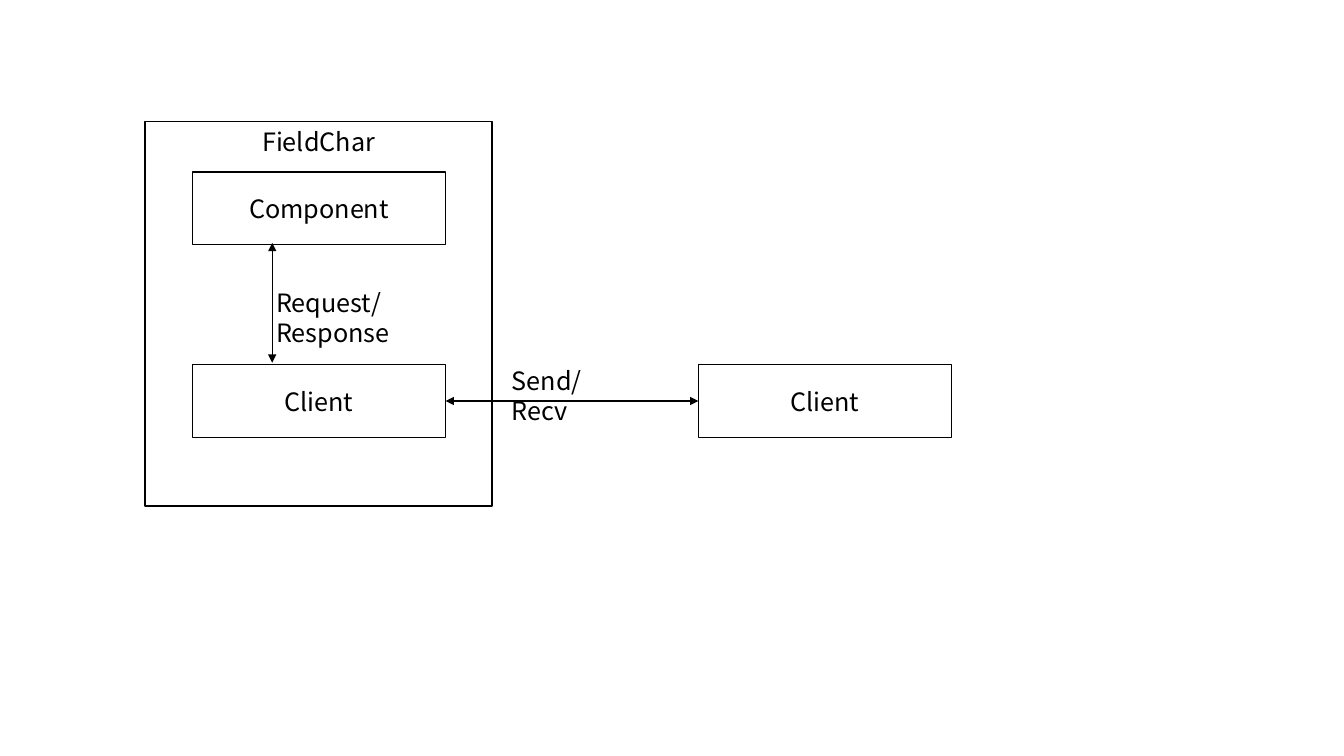
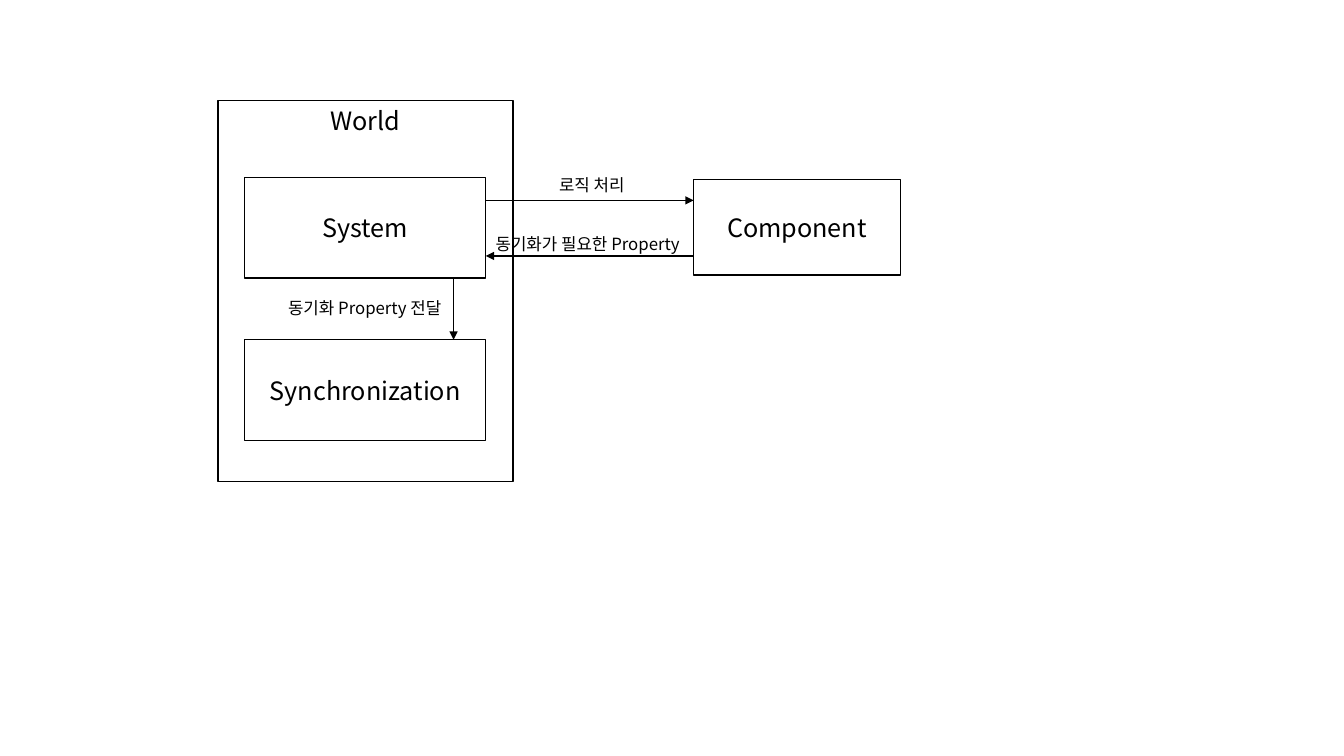
from dataclasses import dataclass

from pptx import Presentation
from pptx import util as u
from pptx.dml.color import RGBColor
from pptx.enum import shapes, text
from pptx.oxml.ns import qn
from lxml import etree


@dataclass(frozen=True)
class Theme:
    """Colours, font and sizes shared by the slides."""
    ink: RGBColor = RGBColor(0, 0, 0)
    paper: RGBColor = RGBColor(255, 255, 255)
    font: str = "Noto Sans CJK KR"
    body: int = 18
    small: int = 12
    stroke: int = 1


THEME = Theme()


def write_text(frame, content, size=THEME.body, align=text.PP_ALIGN.LEFT,
               anchor=text.MSO_ANCHOR.TOP, wrap=True):
    """Put formatted text in a text frame; a newline is a line break."""
    frame.word_wrap = wrap
    frame.vertical_anchor = anchor
    paragraph = frame.paragraphs[0]
    paragraph.alignment = align
    for number, line in enumerate(content.split("\n")):
        if number:
            paragraph.add_line_break()
        run = paragraph.add_run()
        run.text = line
        run.font.size = u.Pt(size)
        run.font.name = THEME.font
        run.font.color.rgb = THEME.ink
        east_asian = etree.SubElement(run.font._element, qn("a:ea"))
        east_asian.set("typeface", THEME.font)


def add_box(slide, content, left, top, width, height, anchor=text.MSO_ANCHOR.MIDDLE):
    """Draw an outlined box with centred text."""
    shape = slide.shapes.add_shape(
        shapes.MSO_SHAPE.RECTANGLE, u.Cm(left), u.Cm(top), u.Cm(width), u.Cm(height))
    shape.shadow.inherit = False
    shape.fill.solid()
    shape.fill.fore_color.rgb = THEME.paper
    shape.line.color.rgb = THEME.ink
    shape.line.width = u.Pt(THEME.stroke)
    write_text(shape.text_frame, content, align=text.PP_ALIGN.CENTER, anchor=anchor)


def add_container(slide, title, left, top, width, height):
    """Draw a box that holds others, titled at its top."""
    add_box(slide, title, left, top, width, height, anchor=text.MSO_ANCHOR.TOP)


def add_label(slide, content, left, top, width, height, size=THEME.body, wrap=True):
    """Place a text label beside an arrow."""
    shape = slide.shapes.add_textbox(u.Cm(left), u.Cm(top), u.Cm(width), u.Cm(height))
    write_text(shape.text_frame, content, size=size, wrap=wrap)
    shape.text_frame.auto_size = text.MSO_AUTO_SIZE.SHAPE_TO_FIT_TEXT


def add_arrow(slide, start, end, both_ways=False):
    """Draw a straight arrow between two points."""
    connector = slide.shapes.add_connector(
        shapes.MSO_CONNECTOR.STRAIGHT, *(u.Cm(value) for value in (*start, *end)))
    connector.line.color.rgb = THEME.ink
    connector.line.width = u.Pt(THEME.stroke)
    line = connector.line._get_or_add_ln()
    for tag in ("a:headEnd", "a:tailEnd") if both_ways else ("a:tailEnd",):
        etree.SubElement(line, qn(tag)).set("type", "triangle")
    etree.SubElement(connector._element.spPr, qn("a:effectLst"))


def build_client_slide(slide):
    """Show how a component and two clients exchange messages."""
    inner_left, remote_left, width, height = 4.85, 17.6, 6.38, 1.83
    component_top, client_top = 4.34, 9.19
    middle = client_top + height / 2
    add_container(slide, "FieldChar", 3.66, 3.07, 8.74, 9.68)
    add_box(slide, "Component", inner_left, component_top, width, height)
    add_box(slide, "Client", inner_left, client_top, width, height)
    add_arrow(slide, (inner_left + width, middle), (remote_left, middle), both_ways=True)
    add_box(slide, "Client", remote_left, client_top, width, height)
    add_label(slide, "Send/\nRecv", 12.65, 9.07, 3.56, 1.02)
    add_arrow(slide, (6.86, 6.12), (6.86, 9.14), both_ways=True)
    add_label(slide, "Request/\nResponse", 6.71, 7.11, 5.82, 1.02)


def build_world_slide(slide):
    """Show how a system drives a component and its synchronization."""
    left, width, height = 6.17, 6.07, 2.54
    system_top, synchronization_top = 4.47, 8.56
    right, component_left = left + width, 17.48
    logic_y, property_y, transfer_x = 5.05, 6.45, 11.43
    add_container(slide, "World", 5.49, 2.54, 7.44, 9.6)
    add_box(slide, "System", left, system_top, width, height)
    add_box(slide, "Component", component_left, 4.52, 5.21, 2.41)
    add_box(slide, "Synchronization", left, synchronization_top, width, height)
    add_arrow(slide, (right, logic_y), (component_left, logic_y))
    add_arrow(slide, (component_left, property_y), (right, property_y))
    add_arrow(slide, (transfer_x, system_top + height), (transfer_x, synchronization_top))
    for content, label_left, top, label_width in (
            ("로직 처리", 13.84, 4.29, 2.36),
            ("동기화가 필요한 Property", right, 5.77, 5.46),
            ("동기화 Property 전달", 7.01, 7.39, 4.6)):
        add_label(slide, content, label_left, top, label_width, 0.76,
                  size=THEME.small, wrap=False)


def main():
    """Build both slides and save the presentation."""
    presentation = Presentation()
    presentation.slide_width = u.Cm(33.87)
    presentation.slide_height = u.Cm(19.05)
    blank = presentation.slide_layouts[6]
    for build in (build_client_slide, build_world_slide):
        build(presentation.slides.add_slide(blank))
    presentation.save("out.pptx")


main()
